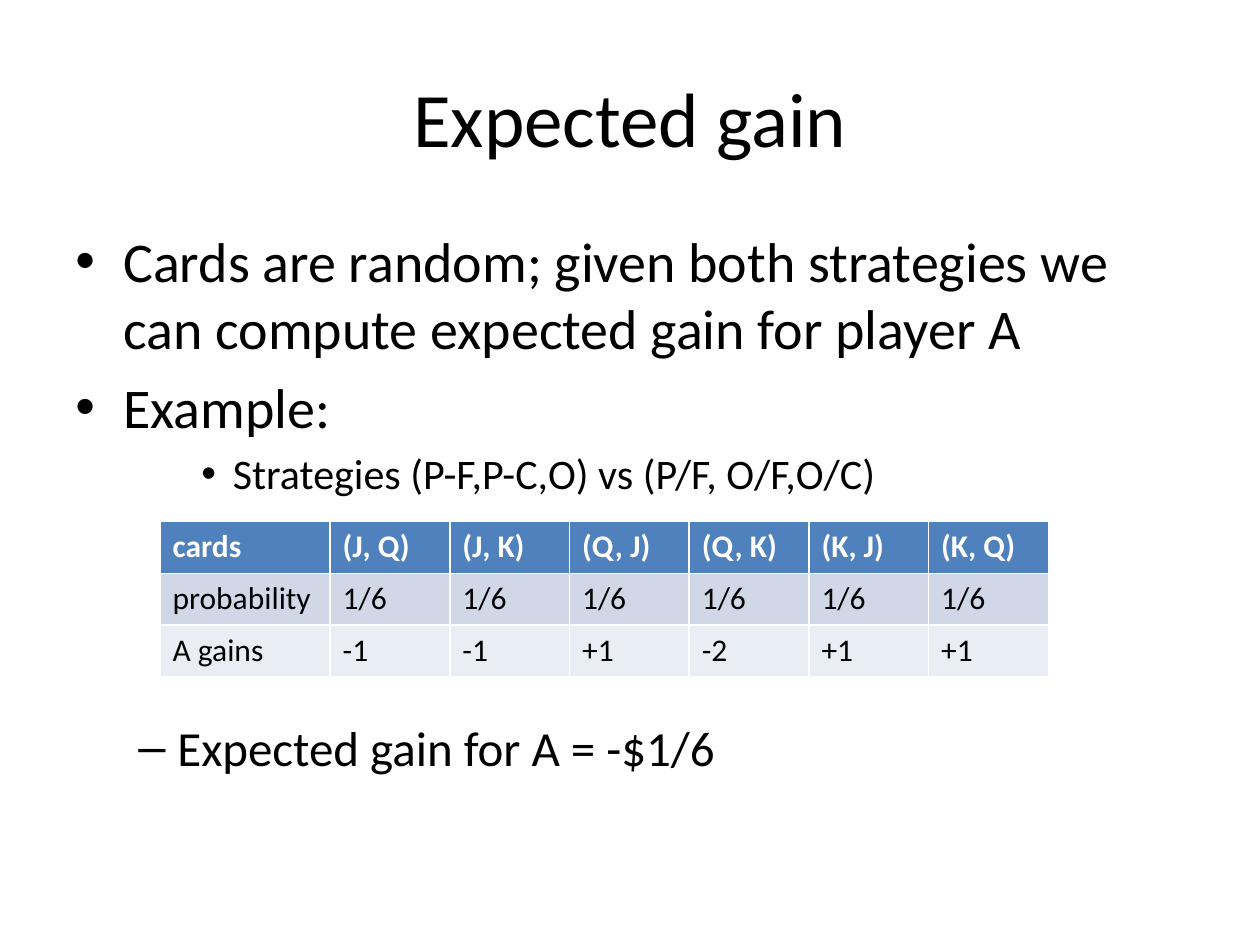
from dataclasses import dataclass

from lxml.etree import SubElement
from pptx import Presentation
from pptx.dml.color import RGBColor
from pptx.enum.text import MSO_ANCHOR, PP_ALIGN
from pptx.oxml.ns import qn
from pptx.util import Inches, Pt

BLACK = RGBColor(0x00, 0x00, 0x00)
WHITE = RGBColor(0xFF, 0xFF, 0xFF)
BLUE = RGBColor(0x4F, 0x81, 0xBD)
BAND = RGBColor(0xD0, 0xD8, 0xE8)
PALE = RGBColor(0xE9, 0xED, 0xF4)


@dataclass
class Bullet:
    text: str
    size: float
    level: int
    char: str
    margin: float
    hang: float
    before: float


@dataclass
class Row:
    cells: list[str]
    fill: RGBColor
    color: RGBColor = BLACK
    bold: bool = False


BULLETS = [
    Bullet("Cards are random; given both strategies we can compute expected gain for player A",
           32, 0, "•", 0.38, 0.38, 6.4),
    Bullet("Example:", 32, 0, "•", 0.38, 0.38, 6.4),
    Bullet("Strategies (P-F,P-C,O) vs (P/F, O/F,O/C)", 24, 2, "•", 1.25, 0.25, 4.8),
    Bullet("Expected gain for A = -$1/6", 28, 1, "–", 0.81, 0.31, 125),
]
ROWS = [
    Row(["cards", "(J, Q)", "(J, K)", "(Q, J)", "(Q, K)", "(K, J)", "(K, Q)"], BLUE, WHITE, True),
    Row(["probability"] + ["1/6"] * 6, BAND),
    Row(["A gains", "-1", "-1", "+1", "-2", "+1", "+1"], PALE),
]
COLS = [1.35] + [0.95] * 6
ROW_H = 0.41


def write(p, text: str, *, size: float, color: RGBColor = BLACK, bold: bool = False) -> None:
    r = p.add_run()
    r.text = text
    r.font.name = "Calibri"
    r.font.size = Pt(size)
    r.font.bold = bold
    r.font.color.rgb = color


def add_bullet(p, item: Bullet) -> None:
    p.level = item.level
    p.alignment = PP_ALIGN.LEFT
    p.space_before = Pt(item.before)
    pPr = p._p.get_or_add_pPr()
    pPr.set("marL", str(Inches(item.margin)))
    pPr.set("indent", str(-Inches(item.hang)))
    SubElement(pPr, qn("a:buFont")).set("typeface", "Arial")
    SubElement(pPr, qn("a:buChar")).set("char", item.char)
    write(p, item.text, size=item.size)


def add_bullets(s, items: list[Bullet]) -> None:
    tf = s.shapes.add_textbox(Inches(0.5), Inches(1.75), Inches(9), Inches(4.95)).text_frame
    tf.word_wrap = True
    for i, item in enumerate(items):
        add_bullet(tf.add_paragraph() if i else tf.paragraphs[0], item)


def add_gains(s, rows: list[Row]) -> None:
    table = s.shapes.add_table(len(rows), len(COLS), Inches(1.27), Inches(4.14),
                               Inches(sum(COLS)), Inches(ROW_H * len(rows))).table
    for col, width in zip(table.columns, COLS):
        col.width = Inches(width)
    for table_row, row in zip(table.rows, rows):
        table_row.height = Inches(ROW_H)
        for cell, text in zip(table_row.cells, row.cells):
            cell.fill.solid()
            cell.fill.fore_color.rgb = row.fill
            write(cell.text_frame.paragraphs[0], text, size=18, color=row.color, bold=row.bold)


def add_title(s, text: str) -> None:
    sp = s.shapes.title
    sp.left, sp.top, sp.width, sp.height = Inches(0.5), Inches(0.3), Inches(9), Inches(1.25)
    tf = sp.text_frame
    tf.vertical_anchor = MSO_ANCHOR.MIDDLE
    p = tf.paragraphs[0]
    p.alignment = PP_ALIGN.CENTER
    write(p, text, size=44)


def main() -> None:
    prs = Presentation()
    prs.slide_width, prs.slide_height = Inches(10), Inches(7.5)
    s = prs.slides.add_slide(prs.slide_layouts[5])
    add_title(s, "Expected gain")
    add_bullets(s, BULLETS)
    add_gains(s, ROWS)
    prs.save("out.pptx")


main()
